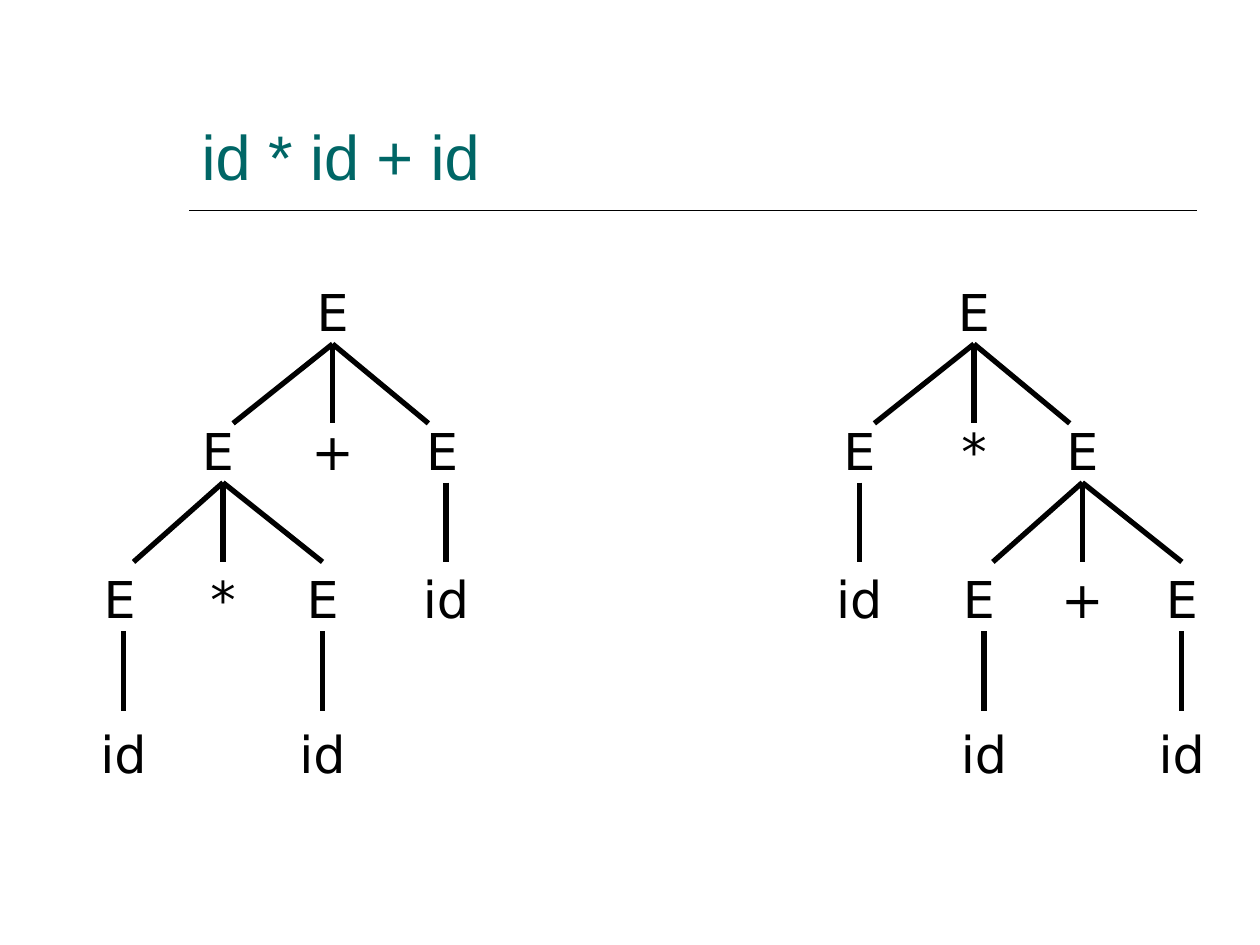
"""Build a slide with the two parse trees of an ambiguous expression."""
from dataclasses import dataclass

import pptx
import pptx.dml.color
import pptx.enum.shapes
import pptx.enum.text
import pptx.oxml
import pptx.slide
import pptx.text.text
import pptx.util
from pptx.util import Inches

COLORS = {"title": "006666", "ink": "000000"}
LEVEL_TOPS = (2.18, 3.28, 4.46, 5.69)
BRANCH_TOPS = (2.73, 3.83, 5.01)
BRANCH_HEIGHT = 0.63
ROOT_SPREAD = (-0.79, 0, 0.76)
INNER_SPREAD = (-0.71, 0, 0.79)
STEM = (0,)


@dataclass(frozen=True)
class Node:
    """A grammar symbol centred at an x position on a tree level."""

    symbol: str
    center: float
    level: int


@dataclass(frozen=True)
class Fork:
    """Branches that run from one point down to the next level."""

    center: float
    level: int
    spread: tuple[float, ...]


@dataclass(frozen=True)
class Tree:
    """The nodes and forks of one parse tree."""

    nodes: tuple[Node, ...]
    forks: tuple[Fork, ...]


PRODUCT_FIRST = Tree(
    nodes=(
        Node("E", 2.64, 0),
        Node("E", 1.73, 1), Node("+", 2.64, 1), Node("E", 3.51, 1),
        Node("E", 0.95, 2), Node("*", 1.77, 2), Node("E", 2.56, 2), Node("id", 3.54, 2),
        Node("id", 0.98, 3), Node("id", 2.56, 3),
    ),
    forks=(
        Fork(2.64, 0, ROOT_SPREAD), Fork(1.77, 1, INNER_SPREAD), Fork(3.54, 1, STEM),
        Fork(0.98, 2, STEM), Fork(2.56, 2, STEM),
    ),
)
SUM_FIRST = Tree(
    nodes=(
        Node("E", 7.73, 0),
        Node("E", 6.82, 1), Node("*", 7.73, 1), Node("E", 8.59, 1),
        Node("id", 6.82, 2), Node("E", 7.77, 2), Node("+", 8.59, 2), Node("E", 9.38, 2),
        Node("id", 7.81, 3), Node("id", 9.38, 3),
    ),
    forks=(
        Fork(7.73, 0, ROOT_SPREAD), Fork(8.59, 1, INNER_SPREAD), Fork(6.82, 1, STEM),
        Fork(7.81, 2, STEM), Fork(9.38, 2, STEM),
    ),
)


def add_span(para: pptx.text.text._Paragraph, text: str, font: str, size: float, color: str) -> None:
    """Append one formatted run to a paragraph."""
    span = para.add_run()
    span.text = text
    span.font.name = font
    span.font.size = pptx.util.Pt(size)
    span.font.color.rgb = pptx.dml.color.RGBColor.from_string(COLORS[color])


def add_line(page: pptx.slide.Slide, start: tuple[float, float], end: tuple[float, float],
             width: float) -> None:
    """Draw a straight line without a shadow."""
    line = page.shapes.add_connector(
        pptx.enum.shapes.MSO_CONNECTOR.STRAIGHT, *map(Inches, start + end))
    line.line.color.rgb = pptx.dml.color.RGBColor.from_string(COLORS["ink"])
    line.line.width = pptx.util.Pt(width)
    properties = line._element.spPr
    properties.append(properties.makeelement(pptx.oxml.ns.qn("a:effectLst"), {}))


def add_title(page: pptx.slide.Slide, text: str) -> None:
    """Place the title above its rule."""
    box = page.shapes.title
    box.left, box.top, box.width, box.height = map(Inches, (1.5, 0.33, 8, 1.25))
    frame = box.text_frame
    frame.vertical_anchor = pptx.enum.text.MSO_ANCHOR.BOTTOM
    frame.auto_size = pptx.enum.text.MSO_AUTO_SIZE.NONE
    para = frame.paragraphs[0]
    para.alignment = pptx.enum.text.PP_ALIGN.LEFT
    add_span(para, text, "Arial", 36, "title")
    add_line(page, (1.5, 1.67), (9.5, 1.67), 1)


def add_node(page: pptx.slide.Slide, node: Node) -> None:
    """Write a symbol centred on its position."""
    width = 0.63 if node.symbol == "id" else 0.55
    box = page.shapes.add_textbox(
        Inches(node.center - width / 2), Inches(LEVEL_TOPS[node.level]),
        Inches(width), Inches(0.59))
    frame = box.text_frame
    frame.word_wrap = True
    frame.auto_size = pptx.enum.text.MSO_AUTO_SIZE.SHAPE_TO_FIT_TEXT
    para = frame.paragraphs[0]
    para.alignment = pptx.enum.text.PP_ALIGN.CENTER
    para.space_before = pptx.util.Pt(18.1)
    add_span(para, node.symbol, "DejaVu Sans", 29, "ink")


def add_tree(page: pptx.slide.Slide, tree: Tree) -> None:
    """Draw the symbols of a tree and the branches between them."""
    for node in tree.nodes:
        add_node(page, node)
    for fork in tree.forks:
        top = BRANCH_TOPS[fork.level]
        for offset in fork.spread:
            add_line(page, (fork.center, top), (fork.center + offset, top + BRANCH_HEIGHT), 3)


def main() -> None:
    """Create and save the deck."""
    deck = pptx.Presentation()
    deck.slide_width, deck.slide_height = Inches(10), Inches(7.5)
    page = deck.slides.add_slide(deck.slide_layouts.get_by_name("Title Only"))
    add_title(page, "id * id + id")
    for tree in (PRODUCT_FIRST, SUM_FIRST):
        add_tree(page, tree)
    deck.save("out.pptx")


if __name__ == "__main__":
    main()
